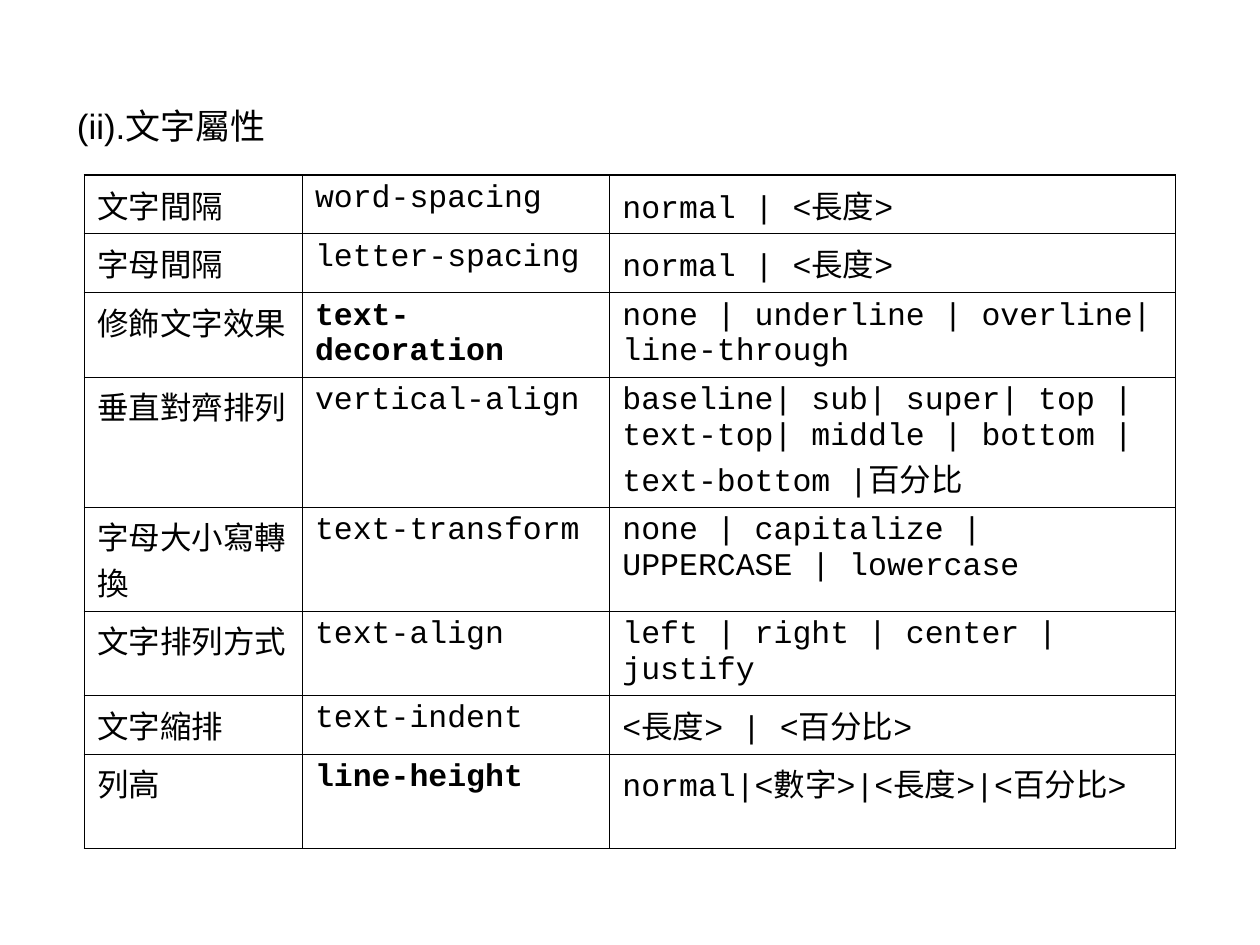
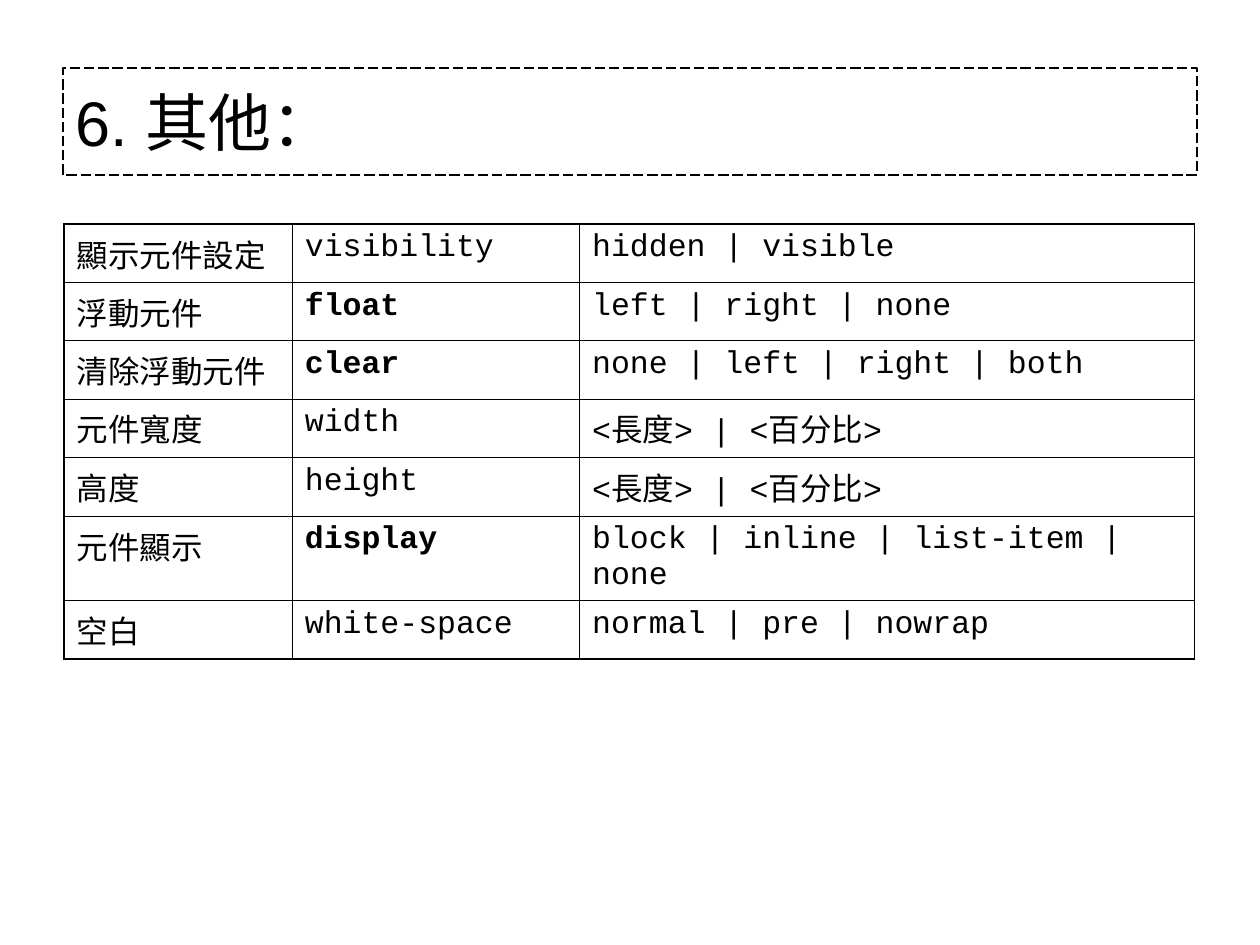
from dataclasses import dataclass

from pptx import Presentation
from pptx.dml.color import RGBColor
from pptx.enum.dml import MSO_LINE
from pptx.enum.text import MSO_ANCHOR, MSO_AUTO_SIZE, PP_ALIGN
from pptx.oxml import parse_xml
from pptx.oxml.ns import nsdecls
from pptx.util import Inches, Pt


@dataclass(frozen=True)
class Theme:
    ink: str = "000000"
    text_font: str = "Arial"
    code_font: str = "Courier New"
    title_size: float = 36
    subtitle_size: float = 20
    cell_size: float = 18
    outer_line: float = 1.08
    inner_line: float = 0.45
    title_line: float = 0.75


THEME = Theme()
INK = RGBColor.from_string(THEME.ink)


def write_text(frame, text, font_name, size, bold=False):
    frame.text = text
    para = frame.paragraphs[0]
    para.alignment = PP_ALIGN.LEFT
    para.font.name = font_name
    para.font.size = Pt(size)
    para.font.bold = bold
    para.font.color.rgb = INK
    return para


def draw_border(cell, side, width):
    """Draw one side of a cell; side is L, R, T or B."""
    cell._tc.get_or_add_tcPr().append(parse_xml(
        f'<a:ln{side} {nsdecls("a")} w="{Pt(width)}"><a:solidFill>'
        f'<a:srgbClr val="{THEME.ink}"/></a:solidFill></a:ln{side}>'))


text_properties = [
    ("文字間隔", "word-spacing", "normal | <長度>"),
    ("字母間隔", "letter-spacing", "normal | <長度>"),
    ("修飾文字效果", "text-decoration", "none | underline | overline| line-through"),
    ("垂直對齊排列", "vertical-align",
     "baseline| sub| super| top | text-top| middle | bottom | text-bottom |百分比"),
    ("字母大小寫轉換", "text-transform", "none | capitalize | UPPERCASE | lowercase"),
    ("文字排列方式", "text-align", "left | right | center | justify"),
    ("文字縮排", "text-indent", "<長度> | <百分比>"),
    ("列高", "line-height", "normal|<數字>|<長度>|<百分比>"),
]
other_properties = [
    ("顯示元件設定", "visibility", "hidden | visible"),
    ("浮動元件", "float", "left | right | none"),
    ("清除浮動元件", "clear", "none | left | right | both"),
    ("元件寬度", "width", "<長度> | <百分比>"),
    ("高度", "height", "<長度> | <百分比>"),
    ("元件顯示", "display", "block | inline | list-item | none"),
    ("空白", "white-space", "normal | pre | nowrap"),
]
key_properties = {"text-decoration", "line-height", "float", "clear", "display"}

pages = [
    dict(title="(ii).文字屬性", title_at=(0.51, 0.84, 9, 6.14),
         title_size=THEME.subtitle_size, framed=False,
         rows=text_properties, table_at=(0.67, 1.39), label_font=THEME.text_font,
         widths=(1.73, 2.44, 4.49),
         heights=(0.46, 0.46, 0.67, 1.03, 0.82, 0.67, 0.46, 0.75)),
    dict(title="6. 其他：", title_at=(0.5, 0.54, 9, 0.85),
         title_size=THEME.title_size, framed=True,
         rows=other_properties, table_at=(0.51, 1.78), label_font=THEME.code_font,
         widths=(1.81, 2.28, 4.88),
         heights=(0.46,) * 5 + (0.67, 0.46)),
]

deck = Presentation()
deck.slide_width = Inches(10)
deck.slide_height = Inches(7.5)
title_only = deck.slide_layouts[5]

for page in pages:
    slide = deck.slides.add_slide(title_only)

    title = slide.shapes.title
    title.left, title.top, title.width, title.height = map(Inches, page["title_at"])
    frame = title.text_frame
    frame.auto_size = MSO_AUTO_SIZE.NONE
    para = write_text(frame, page["title"], THEME.text_font, page["title_size"])
    if page["framed"]:
        frame.vertical_anchor = MSO_ANCHOR.MIDDLE
        title.line.color.rgb = INK
        title.line.width = Pt(THEME.title_line)
        title.line.dash_style = MSO_LINE.LONG_DASH
    else:
        frame.vertical_anchor = MSO_ANCHOR.TOP
        para.line_spacing = 0.8

    rows, widths, heights = page["rows"], page["widths"], page["heights"]
    left, top = map(Inches, page["table_at"])
    table = slide.shapes.add_table(len(rows), len(widths), left, top,
                                   Inches(sum(widths)), Inches(sum(heights))).table
    table.first_row = False
    table.horz_banding = False
    for column, width in zip(table.columns, widths):
        column.width = Inches(width)
    for row, height in zip(table.rows, heights):
        row.height = Inches(height)

    fonts = (page["label_font"], THEME.code_font, THEME.code_font)
    last_row, last_column = len(rows) - 1, len(widths) - 1
    for r, texts in enumerate(rows):
        for c, (text, font_name) in enumerate(zip(texts, fonts)):
            cell = table.cell(r, c)
            write_text(cell.text_frame, text, font_name, THEME.cell_size,
                       bold=text in key_properties)
            outer_sides = {"L": c == 0, "R": c == last_column,
                           "T": r == 0, "B": r == last_row}
            for side, is_outer in outer_sides.items():
                draw_border(cell, side,
                            THEME.outer_line if is_outer else THEME.inner_line)
            cell.fill.background()

deck.save("out.pptx")
